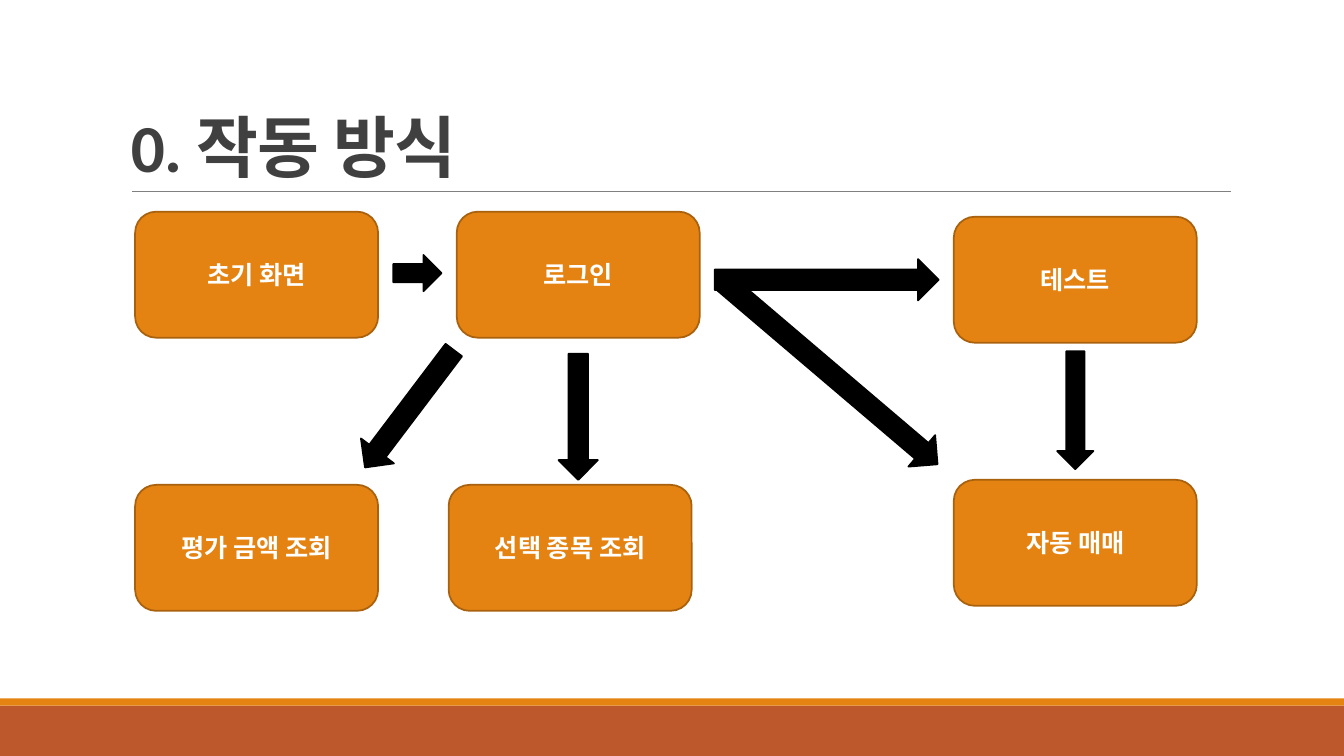
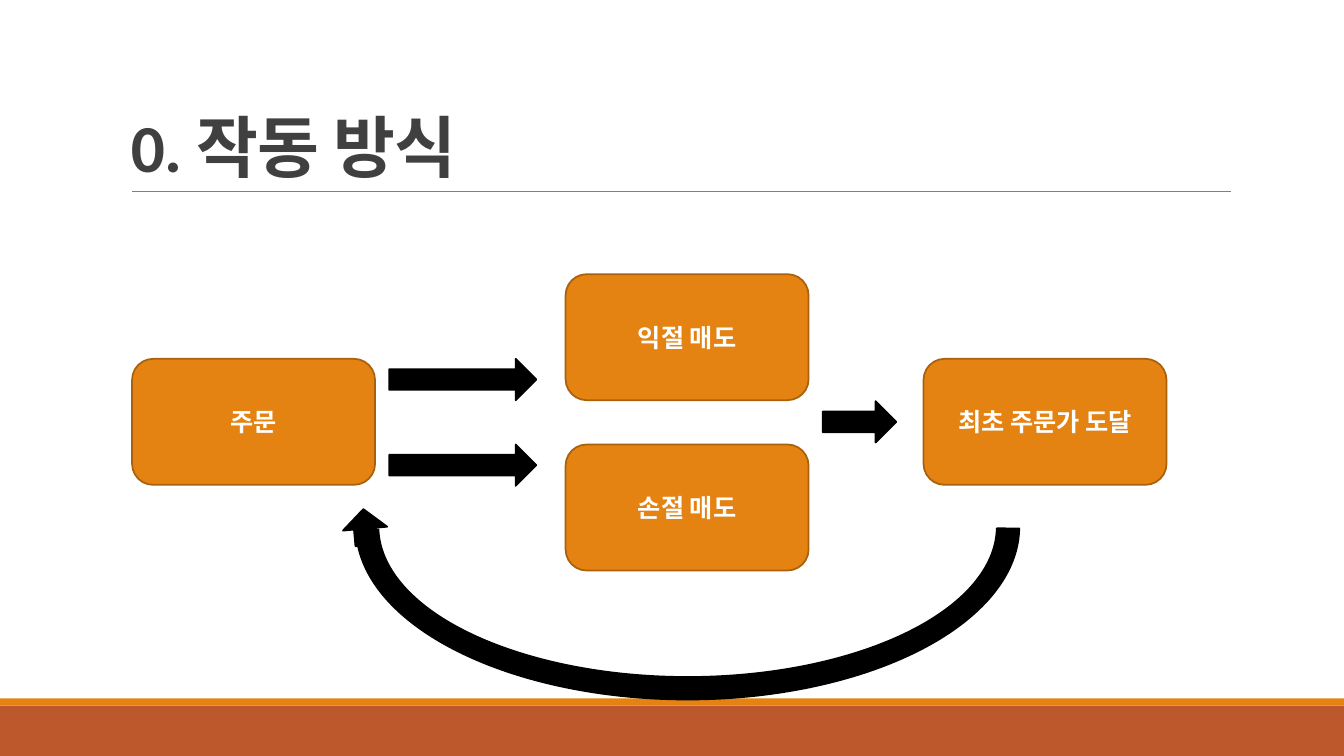
"""Build two flow-chart slides on how an automatic trading program works."""
from pptx import Presentation
from pptx.dml.color import RGBColor
from pptx.enum.shapes import MSO_CONNECTOR as Link, MSO_SHAPE as Kind
from pptx.enum.text import MSO_ANCHOR as Anchor, PP_ALIGN as Align
from pptx.oxml.ns import qn
from pptx.util import Inches, Pt
from lxml.etree import SubElement

ORANGE, RUST, EDGE = "E48312", "BD582C", "A9610D"
BLACK, WHITE, DARK, GREY = "000000", "FFFFFF", "404040", "808080"
FONT = "Calibri"
BOX_W, BOX_H = 2.41, 1.25

FLOWS = [
    {
        "boxes": [
            ("초기 화면", 1.34, 2.1),
            ("로그인", 4.53, 2.1),
            ("평가 금액 조회", 1.34, 4.81),
            ("선택 종목 조회", 4.45, 4.81),
            ("테스트", 9.46, 2.15),
            ("자동 매매", 9.46, 4.76),
        ],
        "arrows": [
            (3.9, 2.53, 0.48, 0.36, 0),
            (3.33, 3.85, 1.46, 0.41, 127.1),
            (5.11, 3.94, 1.25, 0.39, 90),
            (7.09, 2.57, 2.22, 0.41, 0),
            (6.85, 3.5, 2.78, 0.41, 40.4),
            (10.08, 3.89, 1.17, 0.36, 90),
        ],
    },
    {
        "boxes": [
            ("주문", 1.31, 3.56),
            ("익절 매도", 5.61, 2.72),
            ("손절 매도", 5.61, 4.41),
            ("최초 주문가 도달", 9.16, 3.56),
        ],
        "arrows": [
            (3.86, 3.56, 1.46, 0.41, 0),
            (3.86, 4.41, 1.46, 0.41, 0),
            (8.16, 3.98, 0.73, 0.41, 0),
        ],
    },
]


def paint(color, tone):
    """Set a fill, line or font colour from a hex string."""
    color.rgb = RGBColor.from_string(tone)


def draw(slide, kind, left, top, wide, high, fill, edge=None):
    """Add a flat preset shape, outlined only if an edge colour is given."""
    shape = slide.shapes.add_shape(
        kind, Inches(left), Inches(top), Inches(wide), Inches(high))
    shape.shadow.inherit = False
    shape.fill.solid()
    paint(shape.fill.fore_color, fill)
    if edge:
        paint(shape.line.color, edge)
        shape.line.width = Pt(1.25)
    else:
        shape.line.fill.background()
    return shape


deck = Presentation()
deck.slide_width, deck.slide_height = Inches(13.33), Inches(7.5)

for flow in FLOWS:
    slide = deck.slides.add_slide(deck.slide_layouts[6])
    draw(slide, Kind.RECTANGLE, 0, 7, 13.33, 0.5, RUST)
    draw(slide, Kind.RECTANGLE, 0, 6.93, 13.33, 0.07, ORANGE)

    rule = slide.shapes.add_connector(
        Link.STRAIGHT, Inches(1.31), Inches(1.9), Inches(12.21), Inches(1.9))
    paint(rule.line.color, GREY)
    rule.line.width = Pt(0.5)
    SubElement(rule.element.spPr, qn("a:effectLst"))

    title = slide.shapes.add_textbox(
        Inches(1.2), Inches(0.31), Inches(11), Inches(1.59))
    frame = title.text_frame
    frame.word_wrap = True
    frame.vertical_anchor = Anchor.BOTTOM
    frame.text = "0. 작동 방식"
    para = frame.paragraphs[0]
    para.line_spacing = 0.85
    run = para.runs[0]
    run.font.name, run.font.size, run.font.bold = FONT, Pt(48), True
    paint(run.font.color, DARK)
    run.font._element.set("spc", "-50")

    for label, left, top in flow["boxes"]:
        box = draw(slide, Kind.ROUNDED_RECTANGLE, left, top, BOX_W, BOX_H,
                   ORANGE, EDGE)
        frame = box.text_frame
        frame.vertical_anchor = Anchor.MIDDLE
        frame.text = label
        para = frame.paragraphs[0]
        para.alignment = Align.CENTER
        font = para.runs[0].font
        font.name, font.size, font.bold = FONT, Pt(18), True
        paint(font.color, WHITE)

    for left, top, wide, high, turn in flow["arrows"]:
        arrow = draw(slide, Kind.RIGHT_ARROW, left, top, wide, high,
                     BLACK, BLACK)
        arrow.rotation = turn

arc = draw(slide, Kind.BLOCK_ARC, 3.53, 3.51, 6.58, 3.43, BLACK, BLACK)
for index, value in enumerate((108.31, 215.81, 0.065)):
    arc.adjustments[index] = value
arc.element.spPr.xfrm.set("flipV", "1")

tip = draw(slide, Kind.RIGHT_ARROW, 3.44, 5.01, 0.36, 0.44, BLACK, BLACK)
tip.adjustments[1] = 0.54
tip.rotation = 265

deck.save("out.pptx")
